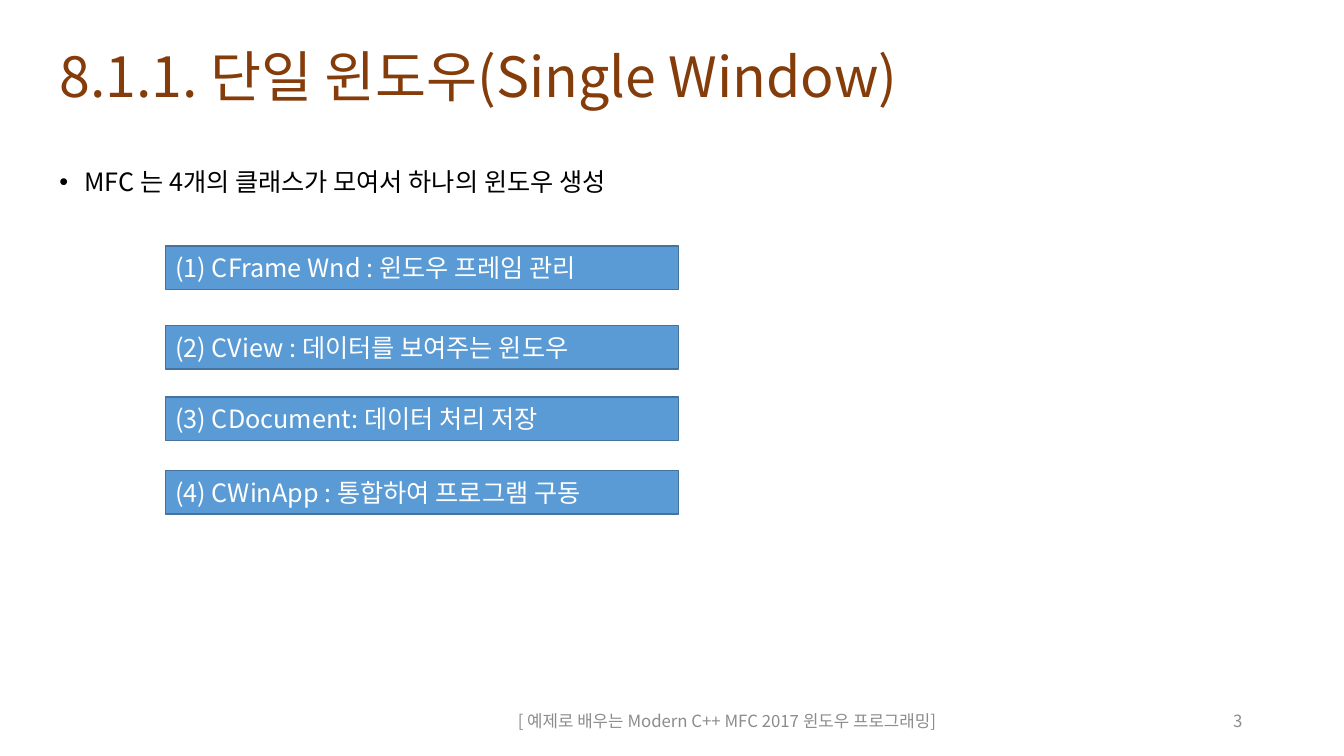
from lxml import etree
from pptx import Presentation
from pptx import util as u
from pptx.dml.color import RGBColor
from pptx.enum import shapes, text
from pptx.oxml import ns

FONT = "Noto Sans CJK KR"
LEFT, CENTER, RIGHT = text.PP_ALIGN.LEFT, text.PP_ALIGN.CENTER, text.PP_ALIGN.RIGHT


def color(value):
    return RGBColor.from_string(value)


def write(box, words, size, ink, align=LEFT, anchor=text.MSO_ANCHOR.MIDDLE):
    frame = box.text_frame
    frame.word_wrap = True
    frame.vertical_anchor = anchor
    para = frame.paragraphs[0]
    para.text = words
    para.alignment = align
    para.font.size = u.Pt(size)
    para.font.name = FONT
    para.font.color.rgb = color(ink)
    # Korean letters take the East Asian font
    defaults = para._p.pPr.find(ns.qn("a:defRPr"))
    etree.SubElement(defaults, ns.qn("a:ea")).set("typeface", FONT)
    return para


deck = Presentation()
deck.slide_width = u.Inches(13.33)
deck.slide_height = u.Inches(7.5)
page = deck.slides.add_slide(deck.slide_layouts[6])

# Title
title = page.shapes.add_textbox(u.Inches(0.49), u.Inches(0.38), u.Inches(9.4), u.Inches(0.81))
para = write(title, "8.1.1. 단일 윈도우(Single Window)", 39.6, "843C0B")
para.line_spacing = 0.9

# Bullet, set one line below the top of the body
body = page.shapes.add_textbox(u.Inches(0.49), u.Inches(1.19), u.Inches(10.33), u.Inches(5.42))
para = write(body, "MFC 는 4개의 클래스가 모여서 하나의 윈도우 생성", 18, "000000",
             anchor=text.MSO_ANCHOR.TOP)
para.line_spacing = 0.9
body.text_frame.margin_top = u.Inches(0.49)
props = para._p.pPr
props.set("marL", str(u.Inches(0.25)))
props.set("indent", str(-u.Inches(0.25)))
bullet_font = etree.Element(ns.qn("a:buFont"), typeface="Arial")
bullet = etree.Element(ns.qn("a:buChar"), char="•")
defaults = props.find(ns.qn("a:defRPr"))
defaults.addprevious(bullet_font)
defaults.addprevious(bullet)

# The four classes
classes = [
    (2.44, "(1) CFrame Wnd : 윈도우 프레임 관리"),
    (3.23, "(2) CView : 데이터를 보여주는 윈도우"),
    (3.94, "(3) CDocument: 데이터 처리 저장"),
    (4.67, "(4) CWinApp : 통합하여 프로그램 구동"),
]
for top, words in classes:
    bar = page.shapes.add_shape(shapes.MSO_SHAPE.RECTANGLE, u.Inches(1.64), u.Inches(top),
                                u.Inches(5.09), u.Inches(0.43))
    bar.shadow.inherit = False
    bar.fill.solid()
    bar.fill.fore_color.rgb = color("5B9BD5")
    bar.line.color.rgb = color("43739E")
    bar.line.width = u.Pt(1)
    write(bar, words, 18, "FFFFFF")

# Footer and page number
footers = [
    (4.42, 5.58, "[ 예제로 배우는 Modern C++ MFC 2017 윈도우 프로그래밍]", CENTER),
    (9.42, 3, "3", RIGHT),
]
for left, width, words, align in footers:
    footer = page.shapes.add_textbox(u.Inches(left), u.Inches(6.95), u.Inches(width), u.Inches(0.4))
    write(footer, words, 12, "8C8C8C", align)

deck.save("out.pptx")
